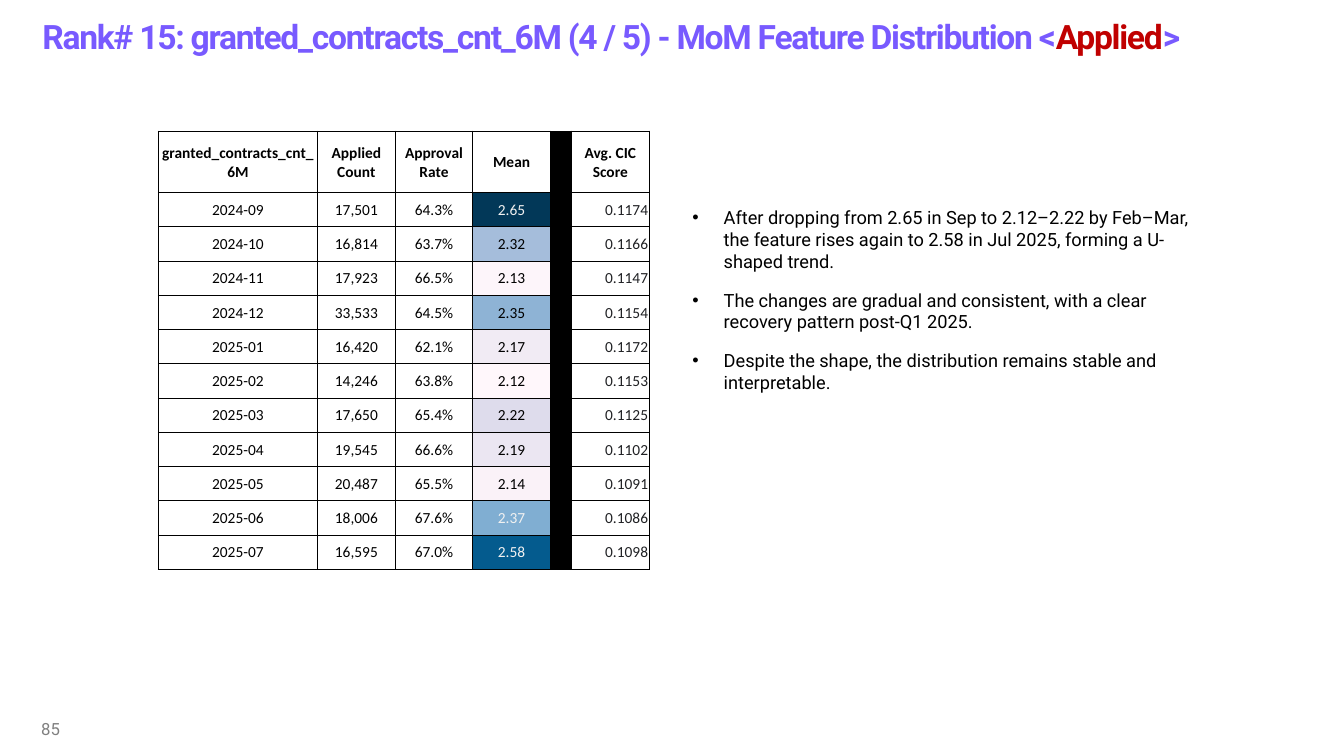
import lxml.etree
import pptx
import pptx.dml.color
import pptx.enum.text
import pptx.oxml.ns
import pptx.util

Inches = pptx.util.Inches
Pt = pptx.util.Pt
ALIGN = pptx.enum.text.PP_ALIGN
ANCHOR = pptx.enum.text.MSO_ANCHOR
AUTO_SIZE = pptx.enum.text.MSO_AUTO_SIZE
qn = pptx.oxml.ns.qn

COLORS = {
    "title": "785AFF",
    "highlight": "C00000",
    "page_number": "808080",
    "text": "000000",
    "score": "202124",
    "light_text": "F1F1F1",
    "white": "FFFFFF",
    "black": "000000",
}
TITLE_PARTS = [
    ("Rank# 15: granted_contracts_cnt_6M (4 / 5) - MoM Feature Distribution <", "title"),
    ("Applied", "highlight"),
    (">", "title"),
]
HEADERS = ["granted_contracts_cnt_6M", "Applied Count", "Approval Rate", "Mean", "", "Avg. CIC Score"]
MONTHS = [
    ("2024-09", "17,501", "64.3%", "2.65", "", "0.1174"),
    ("2024-10", "16,814", "63.7%", "2.32", "", "0.1166"),
    ("2024-11", "17,923", "66.5%", "2.13", "", "0.1147"),
    ("2024-12", "33,533", "64.5%", "2.35", "", "0.1154"),
    ("2025-01", "16,420", "62.1%", "2.17", "", "0.1172"),
    ("2025-02", "14,246", "63.8%", "2.12", "", "0.1153"),
    ("2025-03", "17,650", "65.4%", "2.22", "", "0.1125"),
    ("2025-04", "19,545", "66.6%", "2.19", "", "0.1102"),
    ("2025-05", "20,487", "65.5%", "2.14", "", "0.1091"),
    ("2025-06", "18,006", "67.6%", "2.37", "", "0.1086"),
    ("2025-07", "16,595", "67.0%", "2.58", "", "0.1098"),
]
MEAN_FILLS = ["023858", "A5BDDB", "FDF5FA", "8EB3D5", "F1EBF4", "FFF7FB",
              "DEDCEC", "EBE6F2", "FAF2F8", "80AED2", "045B8E"]
LIGHT_TEXT_MEANS = {"2.65", "2.37", "2.58"}
MEAN_COLUMN, DIVIDER_COLUMN, SCORE_COLUMN = 3, 4, 5
COLUMN_WIDTHS = [1.58, 0.77, 0.77, 0.77, 0.21, 0.77]
HEADER_HEIGHT = 0.61
FINDINGS = [
    "After dropping from 2.65 in Sep to 2.12–2.22 by Feb–Mar, the feature rises again to 2.58 in Jul 2025, "
    "forming a U-shaped trend.",
    "The changes are gradual and consistent, with a clear recovery pattern post-Q1 2025.",
    "Despite the shape, the distribution remains stable and interpretable.",
]


def rgb(color):
    """Return the colour object for a hex string."""
    return pptx.dml.color.RGBColor.from_string(color)


def style_run(run, font, size, color, bold=False):
    """Set the font of one run."""
    run.font.name = font
    run.font.size = Pt(size)
    run.font.bold = bold
    run.font.color.rgb = rgb(color)


def add_title(slide, left, top, width, height):
    """Place the title placeholder and fill it with coloured runs."""
    title = slide.shapes.title
    title.left, title.top, title.width, title.height = map(Inches, (left, top, width, height))
    text_frame = title.text_frame
    text_frame.auto_size = AUTO_SIZE.NONE
    text_frame.vertical_anchor = ANCHOR.MIDDLE
    paragraph = text_frame.paragraphs[0]
    paragraph.alignment = ALIGN.LEFT
    for text, color in TITLE_PARTS:
        run = paragraph.add_run()
        run.text = text
        style_run(run, "Roboto", 24, COLORS[color], bold=True)
        run.font._element.set("spc", "-90")


def add_text_box(slide, left, top, width, height):
    """Add a wrapping text box and return its text frame."""
    text_box = slide.shapes.add_textbox(*map(Inches, (left, top, width, height)))
    text_box.text_frame.word_wrap = True
    return text_box.text_frame


def add_page_number(slide, left, top, width, height):
    """Write the page number in the lower left corner."""
    text_frame = add_text_box(slide, left, top, width, height)
    text_frame.vertical_anchor = ANCHOR.MIDDLE
    text_frame.text = "85"
    paragraph = text_frame.paragraphs[0]
    paragraph.space_after = Pt(6)
    style_run(paragraph.runs[0], "Roboto", 12, COLORS["page_number"])


def add_findings(slide, left, top, width, height):
    """List the findings as bullets."""
    text_frame = add_text_box(slide, left, top, width, height)
    text_frame.auto_size = AUTO_SIZE.SHAPE_TO_FIT_TEXT
    text_frame.text = "\n".join(FINDINGS)
    for paragraph in text_frame.paragraphs:
        paragraph.space_after = Pt(12)
        properties = paragraph._p.get_or_add_pPr()
        properties.set("marL", str(Inches(0.31)))
        properties.set("indent", str(-Inches(0.31)))
        bullet_font = lxml.etree.SubElement(properties, qn("a:buFont"))
        bullet_font.set("typeface", "Arial")
        lxml.etree.SubElement(properties, qn("a:buChar")).set("char", "•")
        style_run(paragraph.runs[0], "Roboto", 13, COLORS["text"])


def add_cell_borders(cell):
    """Draw a thin black line on every side of a cell."""
    properties = cell._tc.get_or_add_tcPr()
    for position, side in enumerate(("a:lnL", "a:lnR", "a:lnT", "a:lnB")):
        line = lxml.etree.Element(qn(side), w=str(Pt(0.5)))
        fill = lxml.etree.SubElement(line, qn("a:solidFill"))
        lxml.etree.SubElement(fill, qn("a:srgbClr")).set("val", COLORS["black"])
        properties.insert(position, line)


def format_cell(cell, text, fill, color, bold, alignment):
    """Fill, frame and write one table cell."""
    cell.fill.solid()
    cell.fill.fore_color.rgb = rgb(fill)
    cell.vertical_anchor = ANCHOR.MIDDLE
    cell.margin_left = cell.margin_right = cell.margin_top = Inches(0.01)
    cell.margin_bottom = 0
    add_cell_borders(cell)
    cell.text = text
    paragraph = cell.text_frame.paragraphs[0]
    paragraph.alignment = alignment
    for run in paragraph.runs:
        style_run(run, "Calibri", 11, color, bold)


def add_month_table(slide, left, top, width, height):
    """Add the monthly table with a heat-mapped mean column."""
    rows = [HEADERS, *MONTHS]
    frame = slide.shapes.add_table(len(rows), len(HEADERS), *map(Inches, (left, top, width, height)))
    table = frame.table
    table.first_row = False
    table.horz_banding = False
    for column, column_width in zip(table.columns, COLUMN_WIDTHS):
        column.width = Inches(column_width)
    for row in table.rows:
        row.height = Inches((height - HEADER_HEIGHT) / len(MONTHS))
    table.rows[0].height = Inches(HEADER_HEIGHT)
    for row_index, values in enumerate(rows):
        is_header = row_index == 0
        for column_index, text in enumerate(values):
            fill, color, alignment = COLORS["white"], COLORS["text"], ALIGN.CENTER
            if column_index == DIVIDER_COLUMN:
                fill = COLORS["black"]
            elif column_index == MEAN_COLUMN and not is_header:
                fill = MEAN_FILLS[row_index - 1]
                if text in LIGHT_TEXT_MEANS:
                    color = COLORS["light_text"]
            elif column_index == SCORE_COLUMN and not is_header:
                color, alignment = COLORS["score"], ALIGN.RIGHT
            format_cell(table.cell(row_index, column_index), text, fill, color, is_header, alignment)


def main():
    """Build the slide and save the presentation."""
    presentation = pptx.Presentation()
    presentation.slide_width = Inches(13.33)
    presentation.slide_height = Inches(7.5)
    slide = presentation.slides.add_slide(presentation.slide_layouts[5])
    add_title(slide, 0.32, 0, 12.92, 0.72)
    add_page_number(slide, 0.31, 7.03, 3, 0.4)
    add_findings(slide, 6.77, 2, 5.17, 1.97)
    add_month_table(slide, 1.57, 1.3, 4.87, 4.35)
    presentation.save("out.pptx")


if __name__ == "__main__":
    main()
